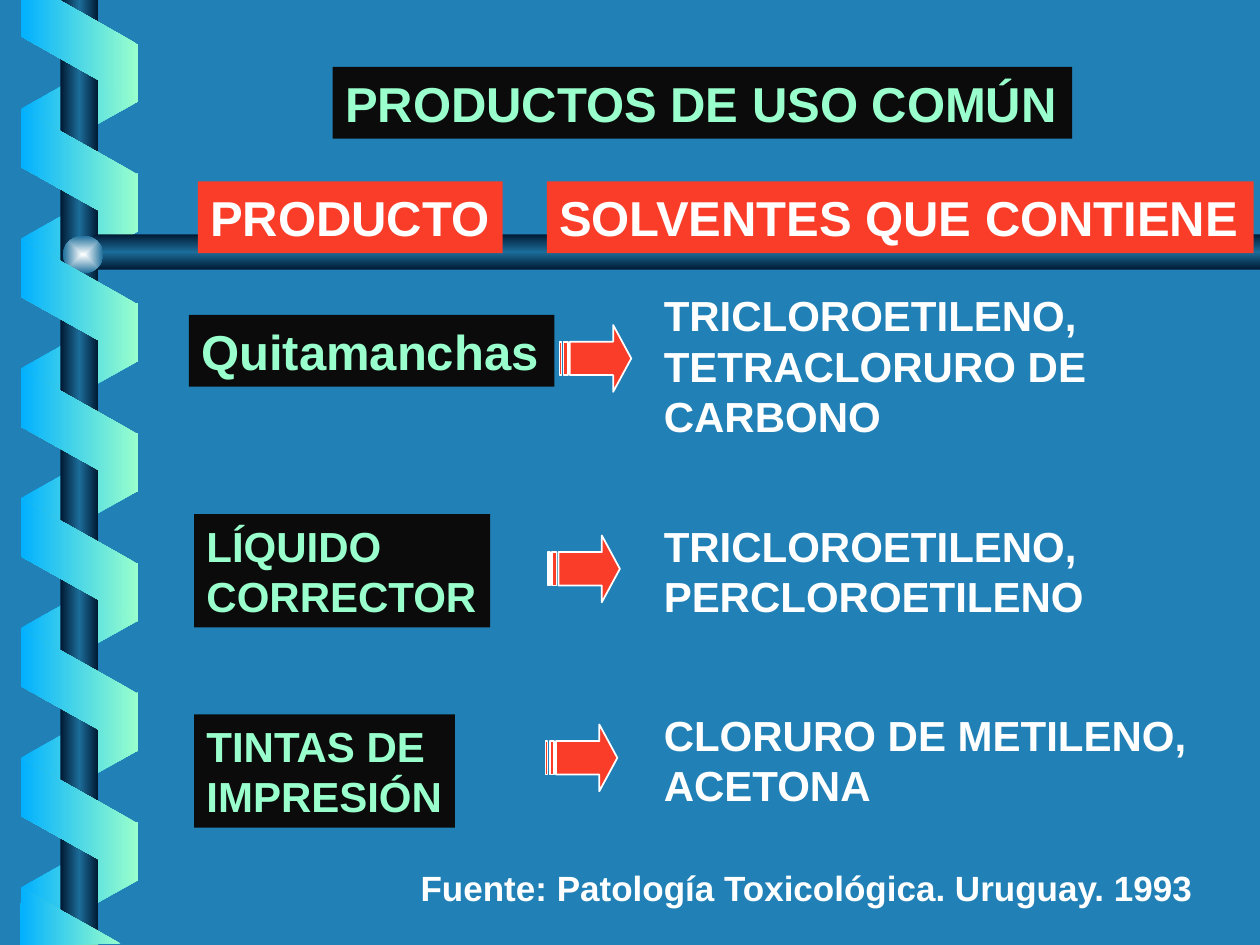
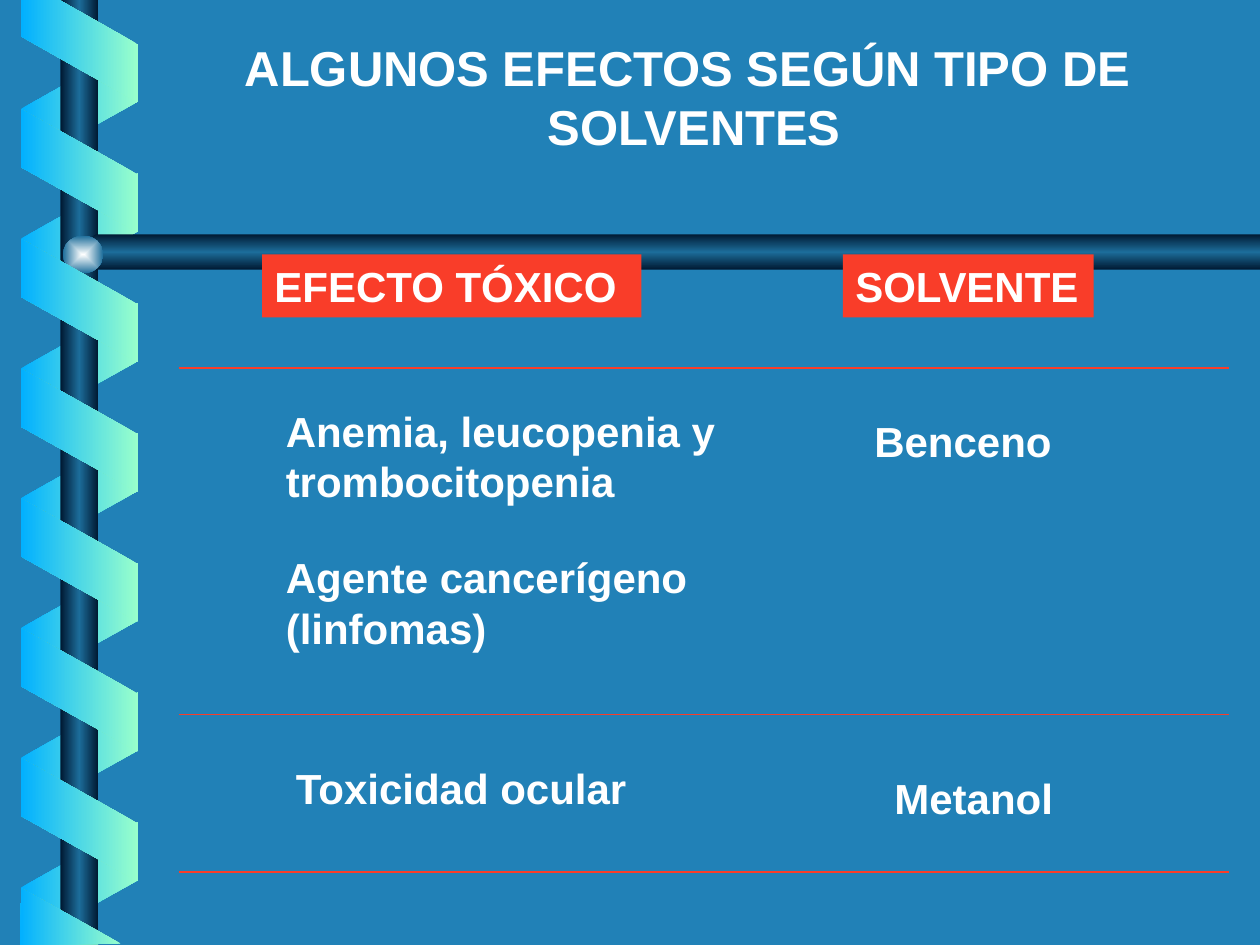
from itertools import count

from pptx import Presentation
from pptx.dml.color import RGBColor
from pptx.enum.shapes import MSO_CONNECTOR, MSO_SHAPE
from pptx.enum.text import MSO_ANCHOR, MSO_AUTO_SIZE, PP_ALIGN
from pptx.oxml import parse_xml
from pptx.oxml.ns import nsdecls
from pptx.util import Inches, Pt

COLUMNS, ROWS = 10, 7.5
CELL = Inches(1)
FONT = "Arial"
BLUE, WHITE, BLACK, RED, MINT = "2181B7", "FFFFFF", "0B0B0B", "F93D29", "99FFCC"
SKY, NAVY, STEEL, PEARL = "01B0FF", "001932", "1C6D9A", "FEFFFF"
RIBBON_BACK = [(0, SKY), (100, MINT)]
RIBBON_FRONT = [(0, MINT), (100, SKY)]
ROD = [(0, NAVY), (50, STEEL), (100, NAVY)]
BEAD = [(0, PEARL), (100, STEEL)]
RIBBON_STEP = 1.03
TITLE_ONLY = 5

RECTANGLE = MSO_SHAPE.RECTANGLE
OVAL = MSO_SHAPE.OVAL
PARALLELOGRAM = MSO_SHAPE.PARALLELOGRAM
STRIPED_ARROW = MSO_SHAPE.STRIPED_RIGHT_ARROW
STRAIGHT = MSO_CONNECTOR.STRAIGHT
TOP = MSO_ANCHOR.TOP
FIT_SHAPE, FIXED_SIZE = MSO_AUTO_SIZE.SHAPE_TO_FIT_TEXT, MSO_AUTO_SIZE.NONE
LEFT, CENTER = PP_ALIGN.LEFT, PP_ALIGN.CENTER


def color(value):
    """Turn a hex string into a colour."""
    return RGBColor.from_string(value)


def grid(*cells):
    """Turn grid columns or rows into lengths."""
    return [round(cell * CELL) for cell in cells]


def fill_solid(shape, value):
    """Fill a shape with one colour."""
    shape.fill.solid()
    shape.fill.fore_color.rgb = color(value)


def fill_gradient(shape, stops, direction):
    """Fill a shape with a gradient that stays fixed when the shape turns."""
    marks = "".join(
        f'<a:gs pos="{share * 1000}"><a:srgbClr val="{value}"/></a:gs>'
        for share, value in stops
    )
    gradient = parse_xml(
        f'<a:gradFill {nsdecls("a")} rotWithShape="0">'
        f"<a:gsLst>{marks}</a:gsLst>{direction}</a:gradFill>"
    )
    shape.fill.background()
    empty = shape.element.xpath("./p:spPr/a:noFill")[0]
    empty.getparent().replace(empty, gradient)


def linear(angle):
    """Describe a linear gradient direction in degrees."""
    return f'<a:lin ang="{angle * 60000}" scaled="0"/>'


def from_center():
    """Describe a gradient that spreads from the middle."""
    return ('<a:path path="rect"><a:fillToRect l="50000" t="50000" '
            'r="50000" b="50000"/></a:path>')


def add_preset(page, preset, left, top, width, height):
    """Add a plain preset shape without outline or shadow."""
    shape = page.shapes.add_shape(preset, *grid(left, top, width, height))
    shape.shadow.inherit = False
    shape.line.fill.background()
    return shape


def add_outline(page, points):
    """Add a closed freeform through grid points."""
    start, *others = [grid(*point) for point in points]
    builder = page.shapes.build_freeform(*start)
    builder.add_line_segments(others, close=True)
    shape = builder.convert_to_shape()
    shape.shadow.inherit = False
    shape.line.fill.background()
    return shape


def add_ribbon(page, top, rotation, stops):
    """Add one turn of the spiral ribbon."""
    turn = add_preset(page, PARALLELOGRAM, 0.14, top, 0.98, 0.93)
    turn.adjustments[0] = 0.56
    turn.rotation = rotation
    if rotation == 90:
        turn.element.xpath("./p:spPr/a:xfrm")[0].set("flipH", "1")
    fill_gradient(turn, stops, linear(180))
    return turn


def decorate_master(deck, page):
    """Draw the spiral and rods, then hand them to the slide master."""
    parts = [add_ribbon(page, 0.37 + RIBBON_STEP * turn, 90, RIBBON_BACK)
             for turn in range(7)]
    post = add_preset(page, RECTANGLE, 0.48, 0, 0.3, ROWS)
    fill_gradient(post, ROD, linear(180))
    bar = add_outline(page, [(COLUMNS, 1.86), (0.76, 1.86), (0.6, 2),
                             (0.76, 2.14), (COLUMNS, 2.14)])
    fill_gradient(bar, ROD, linear(90))
    bead = add_preset(page, OVAL, 0.5, 1.87, 0.32, 0.3)
    fill_gradient(bead, BEAD, from_center())
    parts += [post, bar, bead]
    parts += [add_ribbon(page, 0.89 + RIBBON_STEP * turn, 270, RIBBON_FRONT)
              for turn in range(6)]
    ribbon_ends = (
        [(0.17, 0), (0.17, 0.29), (1.09, 0.81), (1.09, 0.35), (0.47, 0)],
        [(0.96, 7.49), (0.17, 7.05), (0.16, 7.5)],
    )
    for points in ribbon_ends:
        end = add_outline(page, points)
        fill_gradient(end, RIBBON_FRONT, linear(180))
        parts.append(end)

    master = deck.slide_master
    fill_solid(master.background, BLUE)
    for number, part in zip(count(100), parts):
        part.element.xpath("./p:nvSpPr/p:cNvPr")[0].set("id", str(number))
        master.shapes.element.append(part.element)


def write(box, text, size, ink=WHITE, fill=None, align=LEFT, fit=FIT_SHAPE):
    """Put bold lines into a box and style it."""
    if fill:
        fill_solid(box, fill)
    frame = box.text_frame
    frame.text = text
    frame.word_wrap = False
    frame.auto_size = fit
    frame.vertical_anchor = TOP
    for para in frame.paragraphs:
        para.alignment = align
        para.font.name = FONT
        para.font.size = Pt(size)
        para.font.bold = True
        para.font.color.rgb = color(ink)


def add_title(page, cells, text, **style):
    """Move the title placeholder and write the heading."""
    title = page.shapes.title
    title.left, title.top, title.width, title.height = grid(*cells)
    write(title, text, 28, fit=FIXED_SIZE, **style)


def add_label(page, cells, text, size=24, **style):
    """Add a text box, filled or plain."""
    write(page.shapes.add_textbox(*grid(*cells)), text, size, **style)


def add_arrow(page, left, top):
    """Add a striped arrow from product to solvents."""
    arrow = add_preset(page, STRIPED_ARROW, left, top, 0.57, 0.53)
    arrow.adjustments[0] = 0.5
    arrow.adjustments[1] = 0.27
    fill_solid(arrow, RED)
    arrow.line.color.rgb = color(WHITE)
    arrow.line.width = Pt(1)


def add_rule(page, row):
    """Add a thin red line across the content area."""
    rule = page.shapes.add_connector(STRAIGHT, *grid(1.42, row, 9.75, row))
    rule.line.color.rgb = color(RED)
    rule.line.width = Pt(1)
    properties = rule.element.xpath("./p:spPr")[0]
    properties.append(parse_xml(f'<a:effectLst {nsdecls("a")}/>'))


def fill_products(page):
    """Build the slide of common products and their solvents."""
    add_title(page, (2.64, 0.53, 5.87, 0.57), "PRODUCTOS DE USO COMÚN",
              ink=MINT, fill=BLACK)
    add_label(page, (1.57, 1.44, 2.42, 0.57), "PRODUCTO", 28, fill=RED)
    add_label(page, (4.34, 1.44, 5.61, 0.57), "SOLVENTES QUE CONTIENE", 28,
              fill=RED)
    products = (
        ("Quitamanchas", 28, (1.5, 2.5, 2.9, 0.57), (4.44, 2.58),
         "TRICLOROETILENO,\nTETRACLORURO DE\nCARBONO", (5.17, 2.25, 3.64, 1.3)),
        ("LÍQUIDO\nCORRECTOR", 24, (1.54, 4.08, 2.35, 0.9), (4.35, 4.25),
         "TRICLOROETILENO,\nPERCLOROETILENO", (5.17, 4.08, 3.57, 0.9)),
        ("TINTAS DE\nIMPRESIÓN", 24, (1.54, 5.67, 2.07, 0.9), (4.33, 5.75),
         "CLORURO DE METILENO,\nACETONA", (5.17, 5.58, 4.44, 0.9)),
    )
    for product, size, product_cells, arrow_cells, solvents, cells in products:
        add_label(page, product_cells, product, size, ink=MINT, fill=BLACK)
        add_label(page, cells, solvents)
        add_arrow(page, *arrow_cells)
    add_label(page, (3.24, 6.83, 6.37, 0.44),
              "Fuente: Patología Toxicológica. Uruguay. 1993", 20)


def fill_effects(page):
    """Build the slide of toxic effects by solvent."""
    add_title(page, (1.84, 0.25, 7.34, 1.04),
              "ALGUNOS EFECTOS SEGÚN TIPO DE \nSOLVENTES", align=CENTER)
    add_label(page, (2.08, 2.02, 3.01, 0.5), "EFECTO TÓXICO", fill=RED)
    add_label(page, (6.69, 2.02, 1.99, 0.5), "SOLVENTE", fill=RED)
    entries = (
        ("Anemia, leucopenia y\ntrombocitopenia", (2.17, 3.17, 3.7, 0.9)),
        ("Benceno", (6.84, 3.25, 1.61, 0.5)),
        ("Agente cancerígeno\n(linfomas)", (2.17, 4.33, 3.48, 0.9)),
        ("Toxicidad ocular", (2.25, 6, 2.85, 0.5)),
        ("Metanol", (7, 6.08, 1.46, 0.5)),
    )
    for text, cells in entries:
        add_label(page, cells, text)
    for row in (2.92, 5.67, 6.92):
        add_rule(page, row)


def main():
    """Build both slides and save the deck."""
    deck = Presentation()
    deck.slide_width, deck.slide_height = grid(COLUMNS, ROWS)
    layout = deck.slide_layouts[TITLE_ONLY]
    products, effects = [deck.slides.add_slide(layout) for _ in range(2)]
    decorate_master(deck, products)
    fill_products(products)
    fill_effects(effects)
    deck.save("out.pptx")


if __name__ == "__main__":
    main()
